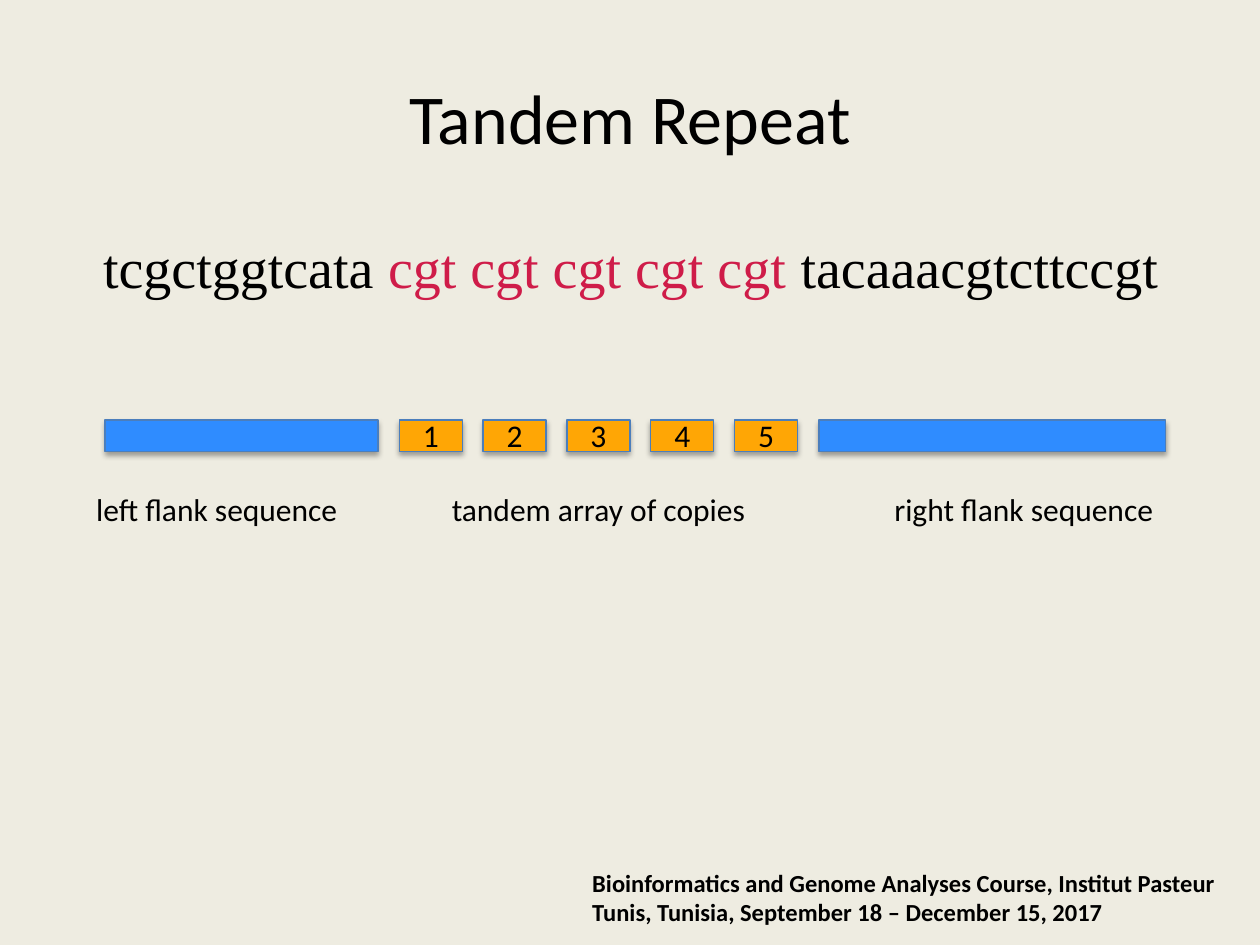
from lxml.etree import SubElement as Sub
from pptx import Presentation
from pptx.dml.color import RGBColor
from pptx.enum.shapes import MSO_SHAPE as Shape
from pptx.enum.text import MSO_ANCHOR as Anchor, PP_ALIGN as Align
from pptx.oxml.ns import qn
from pptx.util import Cm, Pt

CREAM = RGBColor(0xEE, 0xEC, 0xE1)
BLACK = RGBColor(0x00, 0x00, 0x00)
RED = RGBColor(0xCF, 0x1C, 0x49)
BLUE = RGBColor(0x2F, 0x8C, 0xFF)
ORANGE = RGBColor(0xFF, 0xA6, 0x05)
EDGE = RGBColor(0x4B, 0x7E, 0xBC)


class Page:
    """Draws styled elements on one slide."""

    def __init__(self, deck):
        self.font = "Calibri"
        self.slide = deck.slides.add_slide(deck.slide_layouts[6])
        fill = self.slide.background.fill
        fill.solid()
        fill.fore_color.rgb = CREAM

    def style(self, run, size, color=BLACK, bold=False, name=None):
        font = run.font
        font.name = name or self.font
        font.size = Pt(size)
        font.bold = bold
        font.color.rgb = color

    def frame(self, left, top, width, height, pad=(0.25, 0.13)):
        box = self.slide.shapes.add_textbox(Cm(left), Cm(top), Cm(width), Cm(height))
        frame = box.text_frame
        frame.word_wrap = True
        frame.margin_left = frame.margin_right = Cm(pad[0])
        frame.margin_top = frame.margin_bottom = Cm(pad[1])
        return frame

    def text(self, words, left, top, width, height, size=18, align=Align.LEFT,
             bold=False, anchor=Anchor.TOP, pad=(0.25, 0.13)):
        frame = self.frame(left, top, width, height, pad)
        frame.vertical_anchor = anchor
        frame.text = words
        for para in frame.paragraphs:
            para.alignment = align
            for run in para.runs:
                self.style(run, size, bold=bold)

    def strand(self, parts, left, top, width, height):
        frame = self.frame(left, top, width, height)
        frame.margin_left = Cm(0.81)
        frame.margin_top = Cm(0.24)
        for words, color in parts:
            run = frame.paragraphs[0].add_run()
            run.text = words
            self.style(run, 32, color, name="Times New Roman")

    def bar(self, left, width, color):
        bar = self.slide.shapes.add_shape(
            Shape.RECTANGLE, Cm(left), Cm(8.47), Cm(width), Cm(0.64))
        bar.fill.solid()
        bar.fill.fore_color.rgb = color
        bar.line.color.rgb = EDGE
        bar.line.width = Pt(0.75)
        self.shade(bar)

    def shade(self, shape):
        shape.shadow.inherit = False
        effect = shape._element.spPr.find(qn("a:effectLst"))
        outer = Sub(effect, qn("a:outerShdw"), blurRad=str(Pt(3.1)),
                    dist=str(Pt(1.8)), dir="5400000", rotWithShape="0")
        tone = Sub(outer, qn("a:srgbClr"), val="000000")
        Sub(tone, qn("a:alpha"), val="35000")


def main():
    deck = Presentation()
    deck.slide_width, deck.slide_height = Cm(25.4), Cm(19.05)
    page = Page(deck)
    page.text("Bioinformatics and Genome Analyses Course, Institut Pasteur\n"
              "Tunis, Tunisia, September 18 – December 15, 2017",
              11.64, 17.35, 13.54, 1.52, size=14, bold=True, pad=(0.3, 0.15))
    page.text("Tandem Repeat", 1.27, 0.76, 22.86, 3.18, size=40,
              align=Align.CENTER, anchor=Anchor.MIDDLE)
    page.strand([("tcgctggtcata ", BLACK), ("cgt cgt cgt cgt cgt ", RED),
                 ("tacaaacgtcttccgt", BLACK)], 1.27, 4.45, 22.86, 2.34)

    page.bar(2.12, 5.5, BLUE)
    page.bar(16.51, 6.99, BLUE)
    start, step, wide = 8.05, 1.69, 1.27
    for i in range(5):
        left = start + i * step
        page.bar(left, wide, ORANGE)
        page.text(str(i + 1), left, 8.26, wide, 1.02, align=Align.CENTER)

    for words, left, width, align in (
            ("left flank sequence", 1.69, 5.93, Align.LEFT),
            ("tandem array of copies", start, 4 * step + wide, Align.CENTER),
            ("right flank sequence", 16.72, 6.78, Align.RIGHT)):
        page.text(words, left, 9.74, width, 1.02, align=align)
    deck.save("out.pptx")


if __name__ == "__main__":
    main()
